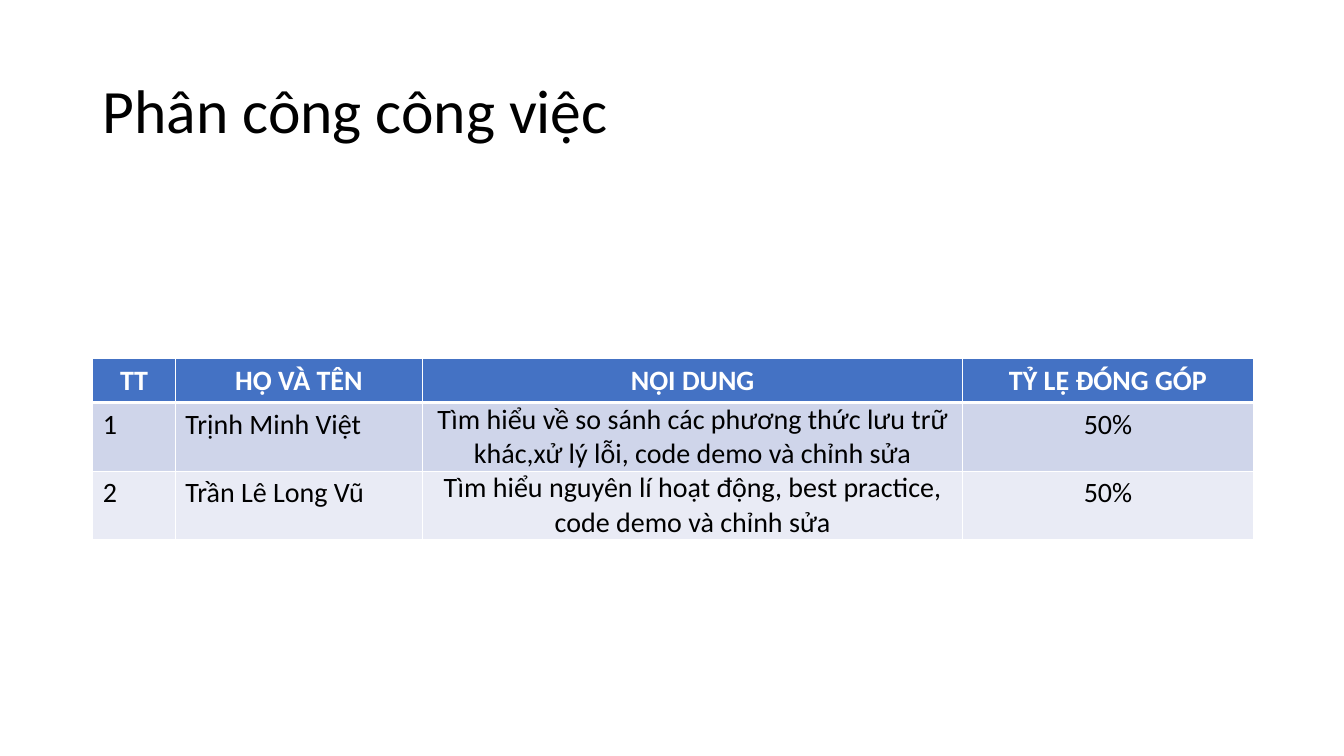
from lxml.etree import SubElement
from pptx import Presentation
from pptx.dml.color import RGBColor
from pptx.enum.text import MSO_ANCHOR as Anchor, PP_ALIGN as Align
from pptx.oxml.ns import qn
from pptx.util import Inches, Pt

FONT = "Calibri"
BLACK = RGBColor(0x00, 0x00, 0x00)
WHITE = RGBColor(0xFF, 0xFF, 0xFF)
HEADER_BLUE = RGBColor(0x44, 0x72, 0xC4)
BANDS = [RGBColor(0xCF, 0xD5, 0xEA), RGBColor(0xE9, 0xEB, 0xF5)]

# Content area and table grid, in inches
LEFT, WIDTH = 0.92, 11.5
TITLE_TOP, TITLE_HEIGHT = 0.4, 1.45
TABLE_TOP = 3.56
COLUMN_WIDTHS = [0.82, 2.45, 5.36, 2.88]
HEADER_HEIGHT, ROW_HEIGHT = 0.41, 0.68
CONTENT_COLUMN = 2
COLUMN_ALIGNS = [Align.LEFT, Align.LEFT, Align.CENTER, Align.CENTER]

TITLE = "Phân công công việc"
ROWS = [
    ["TT", "HỌ VÀ TÊN", "NỘI DUNG", "TỶ LỆ ĐÓNG GÓP"],
    ["1", "Trịnh Minh Việt",
     "Tìm hiểu về so sánh các phương thức lưu trữ khác,xử lý lỗi, "
     "code demo và chỉnh sửa", "50%"],
    ["2", "Trần Lê Long Vũ",
     "Tìm hiểu nguyên lí hoạt động, best practice, "
     "code demo và chỉnh sửa", "50%"],
]


def write_text(text_frame, text, size, color, align=Align.LEFT, bold=False):
    text_frame.text = text
    paragraph = text_frame.paragraphs[0]
    paragraph.alignment = align
    font = paragraph.runs[0].font
    font.name, font.size, font.bold = FONT, Pt(size), bold
    font.color.rgb = color
    return paragraph


def set_borders(cell, **widths):
    """Draw white borders; each keyword is a side (L, R, T, B) in points."""
    properties = cell._tc.get_or_add_tcPr()
    for side, width in widths.items():
        line = SubElement(properties, qn(f"a:ln{side}"), w=str(Pt(width)))
        fill = SubElement(line, qn("a:solidFill"))
        SubElement(fill, qn("a:srgbClr"), val=str(WHITE))


def add_title(slide):
    box = slide.shapes.add_textbox(Inches(LEFT), Inches(TITLE_TOP),
                                   Inches(WIDTH), Inches(TITLE_HEIGHT))
    text_frame = box.text_frame
    text_frame.word_wrap = True
    text_frame.vertical_anchor = Anchor.MIDDLE
    write_text(text_frame, TITLE, 44, BLACK).line_spacing = 0.9


def format_cell(cell, text, row, column):
    is_header = row == 0
    # Thick rule between the header and the first row
    set_borders(cell, L=1, R=1, T=3 if row == 1 else 1, B=3 if is_header else 1)
    cell.fill.solid()
    cell.fill.fore_color.rgb = HEADER_BLUE if is_header else BANDS[(row - 1) % 2]
    if column == CONTENT_COLUMN and not is_header:
        cell.margin_left = cell.margin_right = 0
        cell.margin_top = cell.margin_bottom = 0
    write_text(cell.text_frame, text, 20, WHITE if is_header else BLACK,
               Align.CENTER if is_header else COLUMN_ALIGNS[column], is_header)


def add_task_table(slide):
    heights = [HEADER_HEIGHT] + [ROW_HEIGHT] * (len(ROWS) - 1)
    table = slide.shapes.add_table(
        len(ROWS), len(COLUMN_WIDTHS), Inches(LEFT), Inches(TABLE_TOP),
        Inches(WIDTH), Inches(sum(heights))).table
    for column, width in zip(table.columns, COLUMN_WIDTHS):
        column.width = Inches(width)
    for row, height in zip(table.rows, heights):
        row.height = Inches(height)
    for row, texts in enumerate(ROWS):
        for column, text in enumerate(texts):
            format_cell(table.cell(row, column), text, row, column)


def main():
    presentation = Presentation()
    presentation.slide_width = Inches(13.33)
    presentation.slide_height = Inches(7.5)
    slide = presentation.slides.add_slide(presentation.slide_layouts[6])
    add_title(slide)
    add_task_table(slide)
    presentation.save("out.pptx")


if __name__ == "__main__":
    main()
